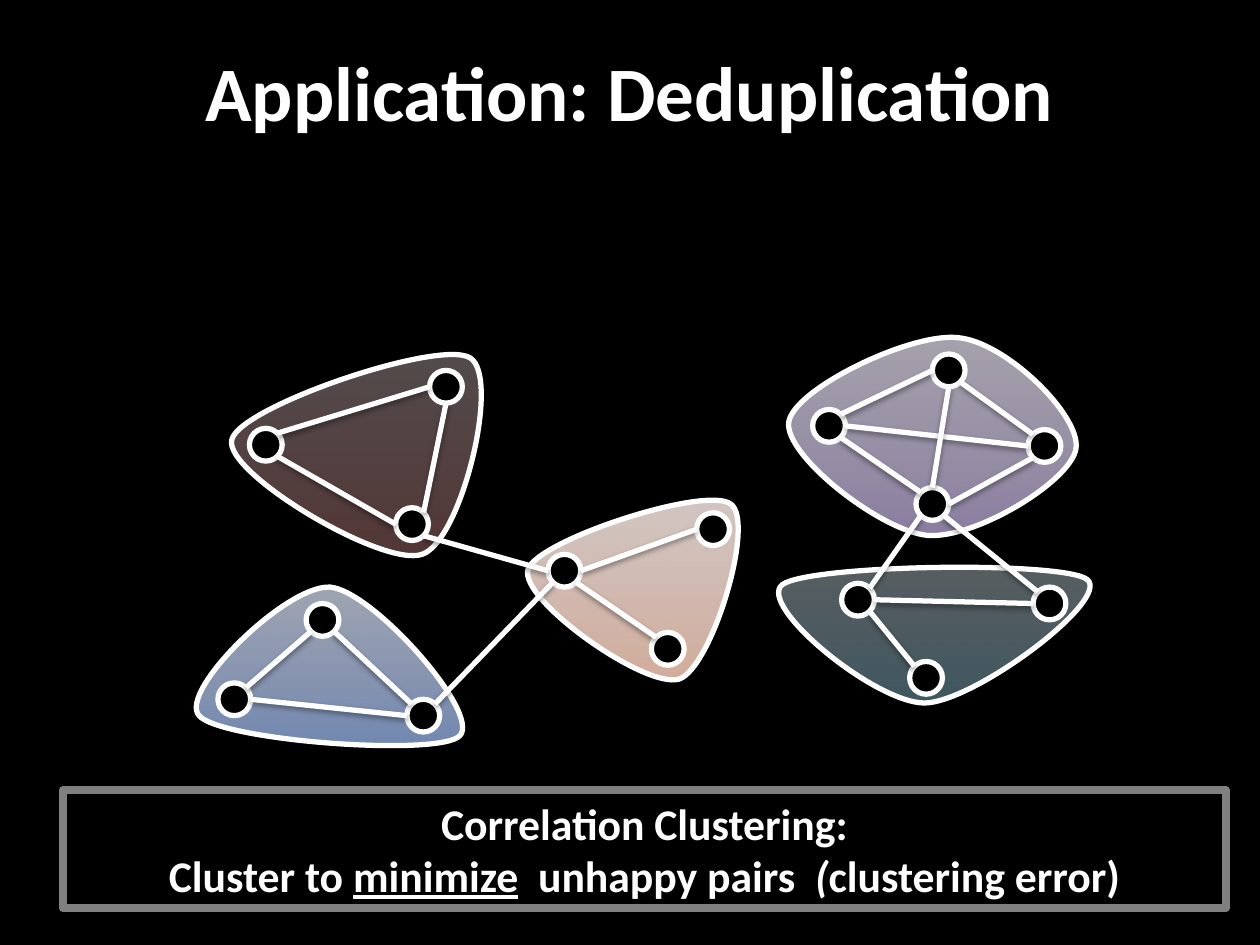
"""Build the slide on deduplication as correlation clustering."""
from dataclasses import dataclass
from math import cos, pi, sin

from lxml.etree import SubElement
from pptx import Presentation
from pptx.dml.color import RGBColor
from pptx.enum.shapes import MSO_CONNECTOR, MSO_SHAPE
from pptx.enum.text import MSO_ANCHOR, PP_ALIGN
from pptx.oxml.ns import qn
from pptx.shapes.base import BaseShape
from pptx.slide import Slide
from pptx.util import Cm, Length, Pt

BLACK = RGBColor(0x00, 0x00, 0x00)
WHITE = RGBColor(0xFF, 0xFF, 0xFF)
GRAY = RGBColor(0x80, 0x80, 0x80)
TEAL = (RGBColor(0xA7, 0xE6, 0xFF), RGBColor(0xC1, 0xED, 0xFF), RGBColor(0xE7, 0xF8, 0xFF))
PURPLE = (RGBColor(0xC9, 0xB5, 0xE8), RGBColor(0xD8, 0xCB, 0xEE), RGBColor(0xF0, 0xEA, 0xF9))
ORANGE = (RGBColor(0xFF, 0xD2, 0xBD), RGBColor(0xFF, 0xDE, 0xD0), RGBColor(0xFF, 0xF2, 0xED))
RED = (RGBColor(0xFF, 0xA6, 0xA5), RGBColor(0xFF, 0xC0, 0xBF), RGBColor(0xFF, 0xE7, 0xE7))
BLUE = (RGBColor(0xA4, 0xC4, 0xFF), RGBColor(0xBF, 0xD4, 0xFF), RGBColor(0xE6, 0xEE, 0xFF))
STOP_PERCENTS = (0, 35, 100)
RADIUS = 0.13
LINE_WIDTH = Pt(3)

Point = tuple[float, float]


@dataclass(frozen=True)
class Cluster:
    """A closed outline of Bezier curves: a start, then three points per curve."""

    colors: tuple[RGBColor, ...]
    opacity: int
    bounds: tuple[float, float, float, float]
    points: tuple[Point, ...]


@dataclass(frozen=True)
class Edge:
    """A link between two records, each end at one of eight sites from the top leftwards."""

    start: str
    start_site: int
    end: str
    end_site: int


CLUSTERS = (
    Cluster(TEAL, 38, (6.18, 4.5, 2.47, 1.07),
            ((7.34, 5.58), (6.94, 5.58), (6, 4.8), (6.21, 4.64), (6.43, 4.48),
             (8.44, 4.45), (8.63, 4.6), (8.82, 4.76), (7.74, 5.57), (7.34, 5.58))),
    Cluster(PURPLE, 69, (6.26, 2.68, 2.29, 1.57),
            ((6.26, 3.35), (6.3, 3.09), (7.22, 2.64), (7.6, 2.68), (7.98, 2.71),
             (8.58, 3.3), (8.54, 3.56), (8.5, 3.82), (7.74, 4.28), (7.36, 4.25),
             (6.98, 4.21), (6.22, 3.61), (6.26, 3.35))),
    Cluster(ORANGE, 82, (4.18, 3.97, 1.68, 1.42),
            ((4.19, 4.52), (4.26, 4.29), (5.6, 3.85), (5.8, 4), (6, 4.14),
             (5.65, 5.3), (5.39, 5.39), (5.12, 5.47), (4.12, 4.76), (4.19, 4.52))),
    Cluster(RED, 33, (1.83, 2.81, 1.99, 1.6),
            ((1.84, 3.49), (1.9, 3.23), (3.48, 2.69), (3.73, 2.84), (3.98, 2.99),
             (3.66, 4.3), (3.35, 4.4), (3.04, 4.51), (1.77, 3.75), (1.84, 3.49))),
    Cluster(BLUE, 69, (1.56, 4.66, 2.12, 1.26),
            ((1.58, 5.68), (1.41, 5.49), (2.27, 4.64), (2.62, 4.66), (2.96, 4.69),
             (3.82, 5.66), (3.65, 5.84), (3.49, 6.01), (1.75, 5.88), (1.58, 5.68))),
)
RECORDS = {
    "blue top": (2.56, 4.92), "blue right": (3.36, 5.68), "blue left": (1.86, 5.55),
    "red left": (2.11, 3.53), "red top": (3.54, 3.07), "red bottom": (3.27, 4.16),
    "orange left": (4.48, 4.53), "orange top": (5.66, 4.2), "orange bottom": (5.3, 5.15),
    "purple left": (6.58, 3.38), "purple top": (7.53, 2.94), "purple bottom": (7.4, 4),
    "purple right": (8.29, 3.54),
    "teal left": (6.81, 4.76), "teal right": (8.33, 4.79), "teal bottom": (7.35, 5.38),
}
EDGES = (
    Edge("blue left", 7, "blue top", 3),
    Edge("blue left", 6, "blue right", 2),
    Edge("blue right", 1, "blue top", 5),
    Edge("red bottom", 2, "red left", 5),
    Edge("red top", 2, "red left", 7),
    Edge("red top", 4, "red bottom", 7),
    Edge("orange left", 3, "blue right", 7),
    Edge("orange left", 2, "red bottom", 5),
    Edge("orange left", 6, "orange top", 2),
    Edge("orange left", 5, "orange bottom", 1),
    Edge("purple left", 7, "purple top", 2),
    Edge("purple left", 6, "purple right", 2),
    Edge("purple left", 5, "purple bottom", 1),
    Edge("purple bottom", 0, "purple top", 4),
    Edge("purple top", 5, "purple right", 1),
    Edge("purple bottom", 6, "purple right", 3),
    Edge("teal left", 7, "purple bottom", 3),
    Edge("teal left", 6, "teal right", 2),
    Edge("teal left", 5, "teal bottom", 1),
    Edge("purple bottom", 5, "teal right", 1),
)
TITLE_FORMAT = {"name": "Calibri", "size": Pt(44), "bold": True}
BODY_FORMAT = {"name": "Calibri", "size": Pt(25), "bold": True}
CAPTION = (
    (("Correlation Clustering:", {}),),
    (("Cluster to ", {}), ("minimize", {"underline": True}), ("  unhappy pairs  ", {}),
     ("(", {"italic": True}), ("clustering error)", {})),
)


def from_inches(*values: float) -> list[Length]:
    """Turn inch values into lengths."""
    return [Cm(value * 2.54) for value in values]


def add_shadow(shape: BaseShape) -> None:
    """Give a shape a soft shadow just below it."""
    effects = SubElement(shape._element.spPr, qn("a:effectLst"))
    shadow = SubElement(effects, qn("a:outerShdw"), blurRad="40000", dist="20000",
                        dir="5400000", rotWithShape="0")
    color = SubElement(shadow, qn("a:srgbClr"), val=str(BLACK))
    SubElement(color, qn("a:alpha"), val="38000")


def style_line(shape: BaseShape, color: RGBColor = WHITE, width: Length = LINE_WIDTH) -> None:
    """Set the colour and width of a line."""
    shape.line.color.rgb = color
    shape.line.width = width


def curve_outline(shape: BaseShape, cluster: Cluster) -> None:
    """Replace the straight outline of a freeform with the cluster's Bezier curves."""
    outline = next(shape._element.iter(qn("a:path")))
    for child in list(outline):
        outline.remove(child)
    left, top = cluster.bounds[:2]
    for index, (x, y) in enumerate(cluster.points):
        if index == 0:
            command = SubElement(outline, qn("a:moveTo"))
        elif index % 3 == 1:
            command = SubElement(outline, qn("a:cubicBezTo"))
        across, down = from_inches(x - left, y - top)
        SubElement(command, qn("a:pt"), x=str(int(across)), y=str(int(down)))
    SubElement(outline, qn("a:close"))


def draw_cluster(page: Slide, cluster: Cluster) -> None:
    """Draw one translucent cluster."""
    left, top, width, height = from_inches(*cluster.bounds)
    builder = page.shapes.build_freeform(left, top)
    builder.add_line_segments([(left + width, top + height)])
    shape = builder.convert_to_shape()
    curve_outline(shape, cluster)
    shape.fill.gradient()
    shape.fill.gradient_angle = 90
    stops = shape._element.spPr.find(qn("a:gradFill")).find(qn("a:gsLst"))
    for stop in list(stops):
        stops.remove(stop)
    for percent, color in zip(STOP_PERCENTS, cluster.colors):
        stop = SubElement(stops, qn("a:gs"), pos=str(percent * 1000))
        value = SubElement(stop, qn("a:srgbClr"), val=str(color))
        SubElement(value, qn("a:alpha"), val=str(cluster.opacity * 1000))
    style_line(shape)
    add_shadow(shape)


def draw_record(page: Slide, center: Point) -> None:
    """Draw one record as a ring."""
    box = from_inches(center[0] - RADIUS, center[1] - RADIUS, 2 * RADIUS, 2 * RADIUS)
    ring = page.shapes.add_shape(MSO_SHAPE.OVAL, *box)
    ring.shadow.inherit = False
    ring.fill.solid()
    ring.fill.fore_color.rgb = BLACK
    style_line(ring)


def site_position(record: str, site: int) -> list[Length]:
    """Locate a connection site on the rim of a record."""
    x, y = RECORDS[record]
    angle = site * pi / 4
    return from_inches(x - RADIUS * sin(angle), y - RADIUS * cos(angle))


def draw_edge(page: Slide, edge: Edge) -> None:
    """Draw the link between two records."""
    link = page.shapes.add_connector(MSO_CONNECTOR.STRAIGHT,
                                     *site_position(edge.start, edge.start_site),
                                     *site_position(edge.end, edge.end_site))
    style_line(link)
    add_shadow(link)


def add_span(para, text: str, formats: dict) -> None:
    """Add a white run of text with the given font values."""
    span = para.add_run()
    span.text = text
    for name, value in formats.items():
        setattr(span.font, name, value)
    span.font.color.rgb = WHITE


def draw_title(page: Slide) -> None:
    """Place and fill the title."""
    title = page.shapes.title
    title.left, title.top, title.width, title.height = from_inches(0.5, 0.3, 9, 1.25)
    title.text_frame.vertical_anchor = MSO_ANCHOR.TOP
    para = title.text_frame.paragraphs[0]
    para.alignment = PP_ALIGN.CENTER
    add_span(para, "Application: Deduplication", TITLE_FORMAT)


def draw_caption(page: Slide) -> None:
    """Draw the framed statement of the goal."""
    box = page.shapes.add_shape(MSO_SHAPE.RECTANGLE, *from_inches(0.5, 6.27, 9.23, 0.94))
    box.shadow.inherit = False
    box.fill.solid()
    box.fill.fore_color.rgb = BLACK
    style_line(box, GRAY, Pt(4.5))
    frame = box.text_frame
    frame.word_wrap = True
    for index, spans in enumerate(CAPTION):
        para = frame.add_paragraph() if index else frame.paragraphs[0]
        para.alignment = PP_ALIGN.CENTER
        for text, formats in spans:
            add_span(para, text, BODY_FORMAT | formats)


def main() -> None:
    """Build and save the deck."""
    deck = Presentation()
    deck.slide_width, deck.slide_height = from_inches(10, 7.5)
    page = deck.slides.add_slide(deck.slide_layouts[5])
    page.background.fill.solid()
    page.background.fill.fore_color.rgb = BLACK
    for cluster in CLUSTERS:
        draw_cluster(page, cluster)
    for center in RECORDS.values():
        draw_record(page, center)
    for edge in EDGES:
        draw_edge(page, edge)
    draw_title(page)
    draw_caption(page)
    deck.save("out.pptx")


if __name__ == "__main__":
    main()
